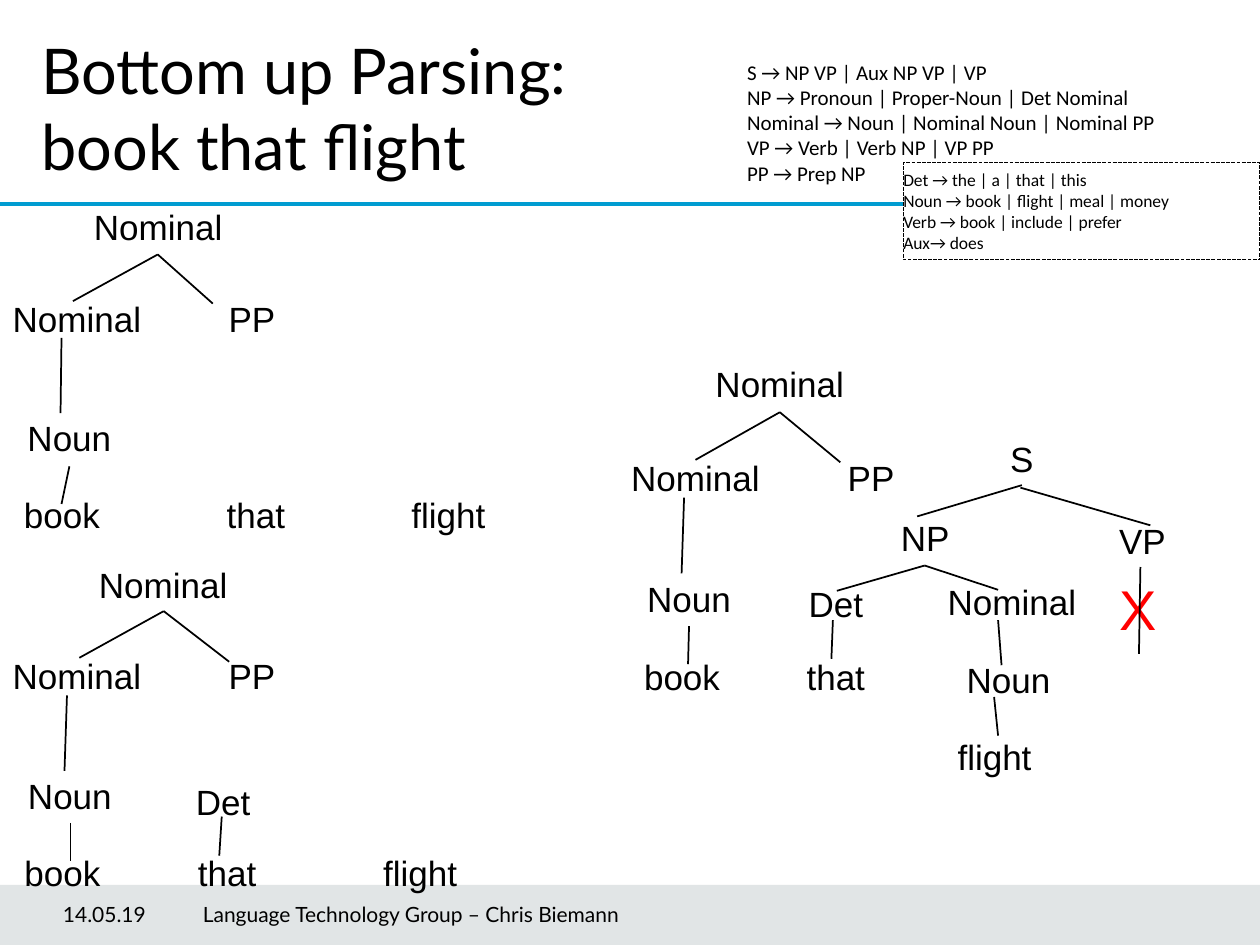
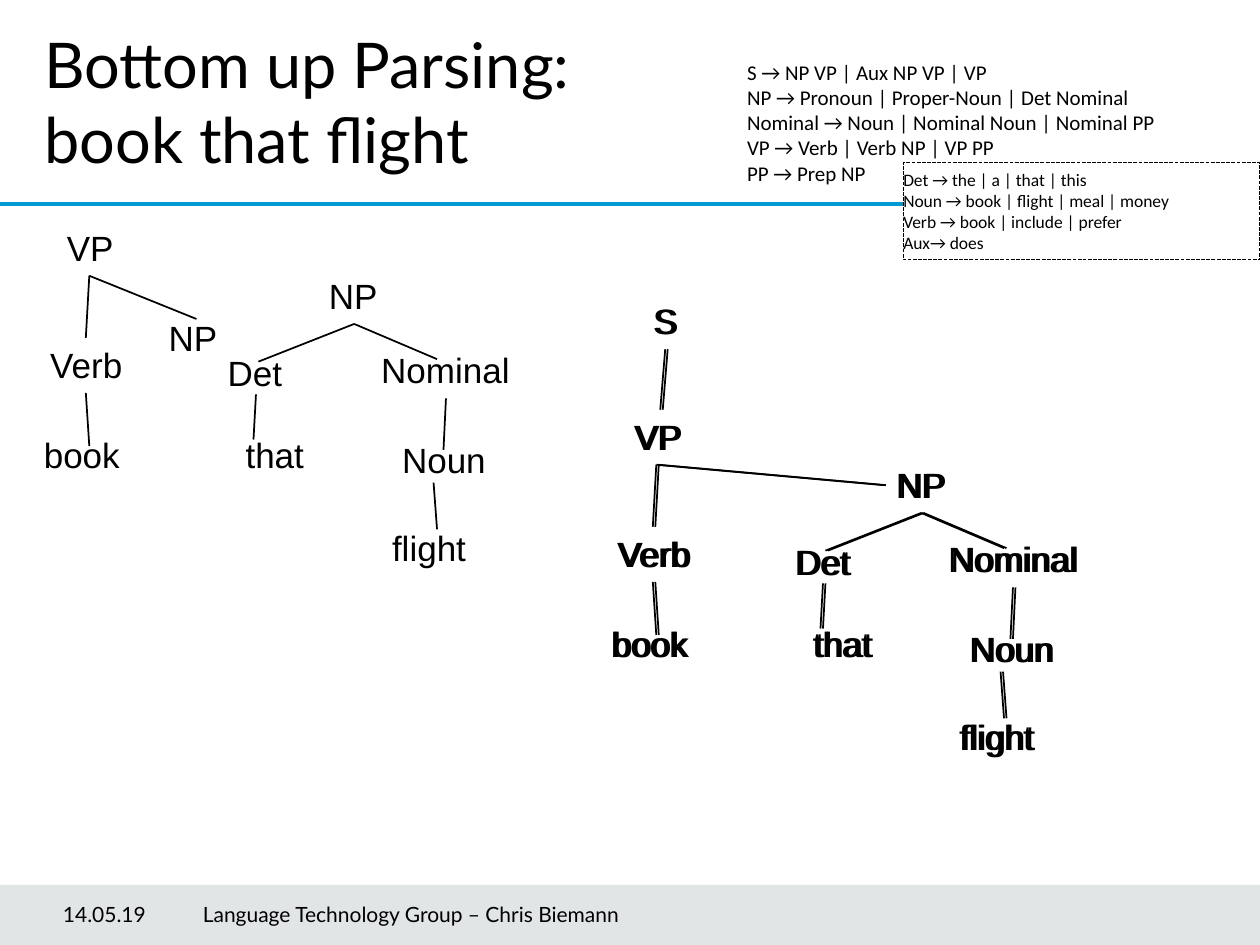
"""Build two slides on bottom-up parsing of "book that flight"."""
from lxml.etree import SubElement
from pptx import Presentation
from pptx.dml.color import RGBColor
from pptx.enum.dml import MSO_LINE
from pptx.enum.shapes import MSO_CONNECTOR, MSO_SHAPE
from pptx.enum.text import MSO_ANCHOR, MSO_AUTO_SIZE, PP_ALIGN
from pptx.oxml.ns import qn
from pptx.util import Cm, Pt

COLORS = {"ink": "000000", "paper": "FFFFFF", "rule": "009CD1",
          "band": "3B515B", "dead_end": "FF0000"}
SLIDE_WIDTH, SLIDE_HEIGHT = 25.4, 19.05
TITLE_LINES = ["Bottom up Parsing:", "book that flight"]
GRAMMAR = [
    "S → NP VP | Aux NP VP | VP",
    "NP → Pronoun | Proper-Noun | Det Nominal",
    "Nominal → Noun | Nominal Noun | Nominal PP",
    "VP → Verb | Verb NP | VP PP",
    "PP → Prep NP",
]
LEXICON = [
    "Det → the | a | that | this",
    "Noun → book | flight | meal | money",
    "Verb → book | include | prefer",
    "Aux→ does",
]
FOOTERS = [("14.05.19", 1.27, 2.51, 0),
           ("Language Technology Group – Chris Biemann", 3.99, 12.57, 0.1)]

LABEL_WIDTHS = {"Nominal": 3.12, "Noun": 2.2, "Verb": 2.05, "Det": 1.65,
                "NP": 1.5, "VP": 1.5, "PP": 1.5, "S": 1, "X": 1.27,
                "book": 2.05, "that": 1.7, "flight": 2}

# Each tree holds nodes (label, centre x, top) and branches (x1, y1, x2, y2).
FIRST_NOUN_TREE = {
    "nodes": [("Nominal", 3.19, 4.01), ("Nominal", 1.55, 5.87), ("PP", 5.08, 5.87),
              ("Noun", 1.4, 8.28), ("book", 1.25, 9.83), ("that", 5.16, 9.83),
              ("flight", 9.04, 9.83)],
    "branches": [(3.18, 5.13, 1.47, 6.07), (3.18, 5.13, 4.29, 6.12),
                 (1.24, 6.81, 1.22, 8.33), (1.4, 9.4, 1.24, 10.16)],
}
DETERMINER_TREE = {
    "nodes": [("Nominal", 3.29, 11.23), ("Nominal", 1.55, 13.06), ("PP", 5.08, 13.06),
              ("Noun", 1.41, 15.49), ("Det", 4.5, 15.6), ("book", 1.26, 17.04),
              ("that", 4.58, 17.04), ("flight", 8.47, 17.04)],
    "branches": [(3.3, 12.32, 1.6, 13.26), (3.3, 12.32, 4.62, 13.34),
                 (1.35, 14.02, 1.3, 15.54), (1.42, 16.59, 1.42, 17.35),
                 (4.47, 16.46, 4.42, 17.25)],
}
FAILED_TREE = {
    "nodes": [("Nominal", 15.72, 7.19), ("Nominal", 14.02, 9.07), ("PP", 17.56, 9.07),
              ("Noun", 13.89, 11.51), ("book", 13.75, 13.08), ("that", 16.85, 13.08),
              ("Det", 16.85, 11.61), ("NP", 18.65, 10.29), ("Nominal", 20.4, 11.58),
              ("Noun", 20.33, 13.16), ("flight", 20.05, 14.71),
              ("S", 20.6, 8.69), ("VP", 23.03, 10.34), ("X", 22.94, 11.46)],
    "branches": [(15.72, 8.31, 14.02, 9.27), (15.72, 8.31, 16.94, 9.32),
                 (13.79, 10.03, 13.74, 11.56), (13.89, 12.62, 13.87, 13.39),
                 (16.79, 12.5, 16.76, 13.28), (18.64, 11.4, 16.87, 11.91),
                 (18.64, 11.4, 20.12, 11.89), (20.12, 12.5, 20.19, 13.41),
                 (20.04, 14.05, 20.12, 14.83), (20.6, 9.78, 18.49, 10.41),
                 (20.57, 9.83, 23.19, 10.59), (22.99, 11.43, 22.96, 13.18)],
}
VERB_AND_NOUN_PHRASES = {
    "nodes": [("VP", 1.82, 4.45), ("Verb", 1.74, 6.81), ("book", 1.65, 8.61),
              ("NP", 7.12, 5.41), ("Det", 5.14, 6.96), ("that", 5.54, 8.61),
              ("Nominal", 8.98, 6.91), ("Noun", 8.95, 8.71), ("flight", 8.65, 10.49)],
    "branches": [(1.8, 5.56, 1.73, 6.81), (1.73, 7.92, 1.8, 8.99),
                 (7.14, 6.53, 5.21, 7.29), (7.14, 6.53, 8.81, 7.24),
                 (5.16, 7.95, 5.11, 8.86), (8.99, 8.03, 8.94, 9.07),
                 (8.74, 9.73, 8.81, 10.67)],
}
EXPECTED_NP = {"nodes": [("NP", 3.89, 6.25)], "branches": [(1.8, 5.56, 3.96, 6.43)]}
COMPLETED_SENTENCE = {
    "nodes": [("S", 1.97, 2.11)],
    "branches": [(1.8, 5.56, 6.38, 5.97), (1.98, 3.23, 1.88, 4.45)],
}
ORIGIN = (0, 0)
DOUBLED = [(11.43, 3.81), (11.48, 3.81)]
SLIDES = [
    {"title_at": (0.58, 0.51),
     "trees": [(FIRST_NOUN_TREE, ORIGIN), (DETERMINER_TREE, ORIGIN), (FAILED_TREE, ORIGIN)]},
    {"title_at": (0.64, 0.38),
     "trees": [(VERB_AND_NOUN_PHRASES, ORIGIN), (EXPECTED_NP, ORIGIN)]
     + [(tree, offset) for offset in DOUBLED
        for tree in (VERB_AND_NOUN_PHRASES, COMPLETED_SENTENCE)]},
]


def color(name):
    return RGBColor.from_string(COLORS[name])


def add_run(paragraph, text, font, size, ink="ink"):
    run = paragraph.add_run()
    run.text = text
    run.font.name = font
    run.font.size = Pt(size)
    run.font.color.rgb = color(ink)


def add_line(slide, start_x, start_y, end_x, end_y, ink="ink", width=1):
    line = slide.shapes.add_connector(
        MSO_CONNECTOR.STRAIGHT, Cm(start_x), Cm(start_y), Cm(end_x), Cm(end_y))
    line.line.color.rgb = color(ink)
    line.line.width = Pt(width)
    SubElement(line._element.spPr, qn("a:effectLst"))


def add_rectangle(slide, left, top, width, height, fill):
    shape = slide.shapes.add_shape(
        MSO_SHAPE.RECTANGLE, Cm(left), Cm(top), Cm(width), Cm(height))
    shape.shadow.inherit = False
    shape.fill.solid()
    shape.fill.fore_color.rgb = color(fill)
    shape.line.fill.background()
    return shape


def add_rules(slide, box, rules, size):
    shape = add_rectangle(slide, *box, "paper")
    frame = shape.text_frame
    frame.word_wrap = True
    frame.vertical_anchor = MSO_ANCHOR.TOP
    for index, rule in enumerate(rules):
        paragraph = frame.add_paragraph() if index else frame.paragraphs[0]
        paragraph.alignment = PP_ALIGN.LEFT
        add_run(paragraph, rule, "Calibri", size)
    return shape


def add_title(slide, left, top):
    title = slide.shapes.title
    title.left, title.top, title.width, title.height = Cm(left), Cm(top), Cm(19.1), Cm(2.34)
    frame = title.text_frame
    frame.auto_size = MSO_AUTO_SIZE.NONE
    frame.vertical_anchor = MSO_ANCHOR.TOP
    paragraph = frame.paragraphs[0]
    paragraph.alignment = PP_ALIGN.LEFT
    for index, text in enumerate(TITLE_LINES):
        if index:
            paragraph.add_line_break()
        add_run(paragraph, text, "Lato", 36)


def add_band_and_rule(slide):
    band_top = 17.84
    band = add_rectangle(slide, 0, band_top, SLIDE_WIDTH, SLIDE_HEIGHT - band_top, "band")
    fill_color = band._element.spPr.find(qn("a:solidFill")).find(qn("a:srgbClr"))
    SubElement(fill_color, qn("a:alpha")).set("val", "15000")
    add_line(slide, 0, 4.11, SLIDE_WIDTH, 4.11, "rule", 2)


def add_footers(slide):
    for text, left, width, inset in FOOTERS:
        frame = slide.shapes.add_textbox(Cm(left), Cm(17.91), Cm(width), Cm(1.02)).text_frame
        frame.word_wrap = True
        frame.margin_left = Cm(inset)
        frame.vertical_anchor = MSO_ANCHOR.MIDDLE
        add_run(frame.paragraphs[0], text, "Lato", 12)


def add_node(slide, label, center, top):
    is_dead_end = label == "X"
    width = LABEL_WIDTHS[label]
    height = 1.63 if is_dead_end else 1.12
    frame = slide.shapes.add_textbox(
        Cm(center - width / 2), Cm(top), Cm(width), Cm(height)).text_frame
    frame.word_wrap = False
    frame.auto_size = MSO_AUTO_SIZE.SHAPE_TO_FIT_TEXT
    paragraph = frame.paragraphs[0]
    paragraph.alignment = PP_ALIGN.CENTER
    add_run(paragraph, label, "Arial", 32 if is_dead_end else 20,
            "dead_end" if is_dead_end else "ink")


def add_tree(slide, tree, offset):
    shift_x, shift_y = offset
    for label, center, top in tree["nodes"]:
        add_node(slide, label, center + shift_x, top + shift_y)
    for start_x, start_y, end_x, end_y in tree["branches"]:
        add_line(slide, start_x + shift_x, start_y + shift_y,
                 end_x + shift_x, end_y + shift_y)


def add_lexicon(slide):
    lexicon = add_rules(slide, (18.21, 3.28, 7.19, 1.96), LEXICON, 10)
    lexicon.text_frame.margin_left = lexicon.text_frame.margin_right = 0
    lexicon.line.color.rgb = color("ink")
    lexicon.line.width = Pt(0.75)
    lexicon.line.dash_style = MSO_LINE.SQUARE_DOT


def main():
    presentation = Presentation()
    presentation.slide_width, presentation.slide_height = Cm(SLIDE_WIDTH), Cm(SLIDE_HEIGHT)
    for content in SLIDES:
        slide = presentation.slides.add_slide(presentation.slide_layouts[5])
        add_band_and_rule(slide)
        add_title(slide, *content["title_at"])
        add_rules(slide, (14.81, 1.07, 10.16, 2.82), GRAMMAR, 12)
        for tree, offset in content["trees"]:
            add_tree(slide, tree, offset)
        add_lexicon(slide)
        add_footers(slide)
    presentation.save("out.pptx")


if __name__ == "__main__":
    main()
